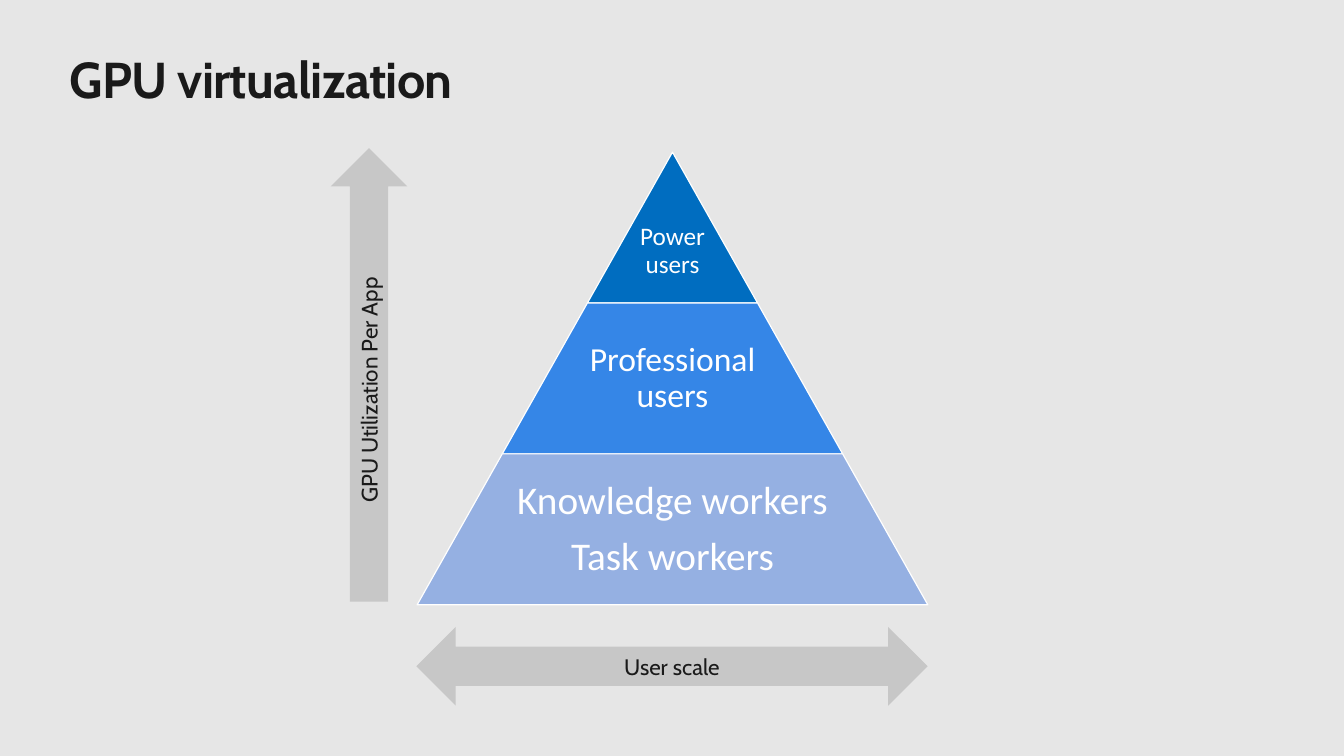
from dataclasses import dataclass

from pptx import Presentation
from pptx.dml.color import RGBColor
from pptx.enum.shapes import MSO_SHAPE
from pptx.enum.text import MSO_ANCHOR, MSO_AUTO_SIZE, PP_ALIGN
from pptx.util import Inches, Pt

TRAPEZOID, RECTANGLE = MSO_SHAPE.TRAPEZOID, MSO_SHAPE.RECTANGLE
UP_ARROW, WIDE_ARROW = MSO_SHAPE.UP_ARROW, MSO_SHAPE.LEFT_RIGHT_ARROW
TOP, MIDDLE = MSO_ANCHOR.TOP, MSO_ANCHOR.MIDDLE
LEFT, CENTER = PP_ALIGN.LEFT, PP_ALIGN.CENTER
FIT_SHAPE = MSO_AUTO_SIZE.SHAPE_TO_FIT_TEXT

INK, WHITE, GREY, PAPER = "1A1A1A", "FFFFFF", "C7C7C7", "E6E6E6"

# Pyramid geometry in inches
CENTER_X, APEX_Y = 6.67, 1.51
TIER_HEIGHT = 4.49 / 3
SLOPE = 0.564  # horizontal run of a side per inch of height


@dataclass
class Tier:
    lines: list[str]
    fill: str
    size: int
    text_width: float
    insets: tuple[float, float, float, float]


TIERS = [
    Tier(["Power users"], "006DC0", 18, 1.68, (0.3, 0.5, 0.3, 0.03)),
    Tier(["Professional users"], "3586E7", 24, 2.19, (0.03,) * 4),
    Tier(["Knowledge workers", "Task workers"], "95B0E2", 28, 3.3, (0.04,) * 4),
]


def rgb(value: str) -> RGBColor:
    return RGBColor.from_string(value)


def write(sp, lines, *, size, font="Cabin", color=INK, bold=False, align=LEFT,
          anchor=TOP, insets=(0.1, 0.05, 0.1, 0.05), wrap=True,
          line_spacing=1.0, space_after=0.0):
    """Fill a shape with one paragraph per line; space_after is in ems."""
    tf = sp.text_frame
    tf.word_wrap = wrap
    tf.vertical_anchor = anchor
    tf.margin_left, tf.margin_top, tf.margin_right, tf.margin_bottom = map(Inches, insets)
    for i, line in enumerate(lines):
        p = tf.add_paragraph() if i else tf.paragraphs[0]
        p.alignment = align
        p.line_spacing = line_spacing
        p.space_before = Pt(0)
        p.space_after = Pt(size * space_after)
        r = p.add_run()
        r.text = line
        r.font.name, r.font.size, r.font.bold = font, Pt(size), bold
        r.font.color.rgb = rgb(color)
    return tf


def add_block(slide, kind, left: float, top: float, width: float, height: float,
              fill: str, outline: str | None = None):
    sp = slide.shapes.add_shape(kind, Inches(left), Inches(top), Inches(width), Inches(height))
    sp.shadow.inherit = False
    sp.fill.solid()
    sp.fill.fore_color.rgb = rgb(fill)
    if outline:
        sp.line.color.rgb = rgb(outline)
        sp.line.width = Pt(0.85)
    else:
        sp.line.fill.background()
    return sp


def add_tier(slide, index: int, tier: Tier) -> None:
    top = APEX_Y + index * TIER_HEIGHT
    width = 2 * SLOPE * (index + 1) * TIER_HEIGHT
    sp = add_block(slide, TRAPEZOID, CENTER_X - width / 2, top, width, TIER_HEIGHT,
                   tier.fill, WHITE)
    sp.adjustments[0] = SLOPE
    label = slide.shapes.add_textbox(Inches(CENTER_X - tier.text_width / 2), Inches(top),
                                     Inches(tier.text_width), Inches(TIER_HEIGHT))
    write(label, tier.lines, size=tier.size, font="Calibri", color=WHITE, align=CENTER,
          anchor=MIDDLE, insets=tier.insets, line_spacing=0.9, space_after=0.35)


def main() -> None:
    prs = Presentation()
    prs.slide_width, prs.slide_height = Inches(13.33), Inches(7.5)
    slide = prs.slides.add_slide(prs.slide_layouts[5])
    slide.background.fill.solid()
    slide.background.fill.fore_color.rgb = rgb(PAPER)

    # Title
    title = slide.shapes.title
    title.left, title.top = Inches(0.69), Inches(0.48)
    title.width, title.height = Inches(12.05), Inches(0.61)
    tf = write(title, ["GPU virtualization"], size=36, bold=True, insets=(0,) * 4)
    tf.auto_size = FIT_SHAPE
    tf.paragraphs[0].runs[0].font._element.set("spc", "-50")

    # Pyramid
    for index, tier in enumerate(TIERS):
        add_tier(slide, index, tier)

    # Horizontal axis
    scale = add_block(slide, WIDE_ARROW, 4.13, 6.22, 5.07, 0.78, GREY)
    write(scale, ["User scale"], size=16, align=CENTER, anchor=MIDDLE)

    # Vertical axis
    add_block(slide, UP_ARROW, 3.28, 1.47, 0.76, 4.5, GREY)
    label = add_block(slide, RECTANGLE, 2.39, 3.63, 2.54, 0.37, GREY)
    label.rotation = 270
    tf = write(label, ["GPU Utilization Per App"], size=16, wrap=False)
    tf.auto_size = FIT_SHAPE

    prs.save("out.pptx")


if __name__ == "__main__":
    main()
